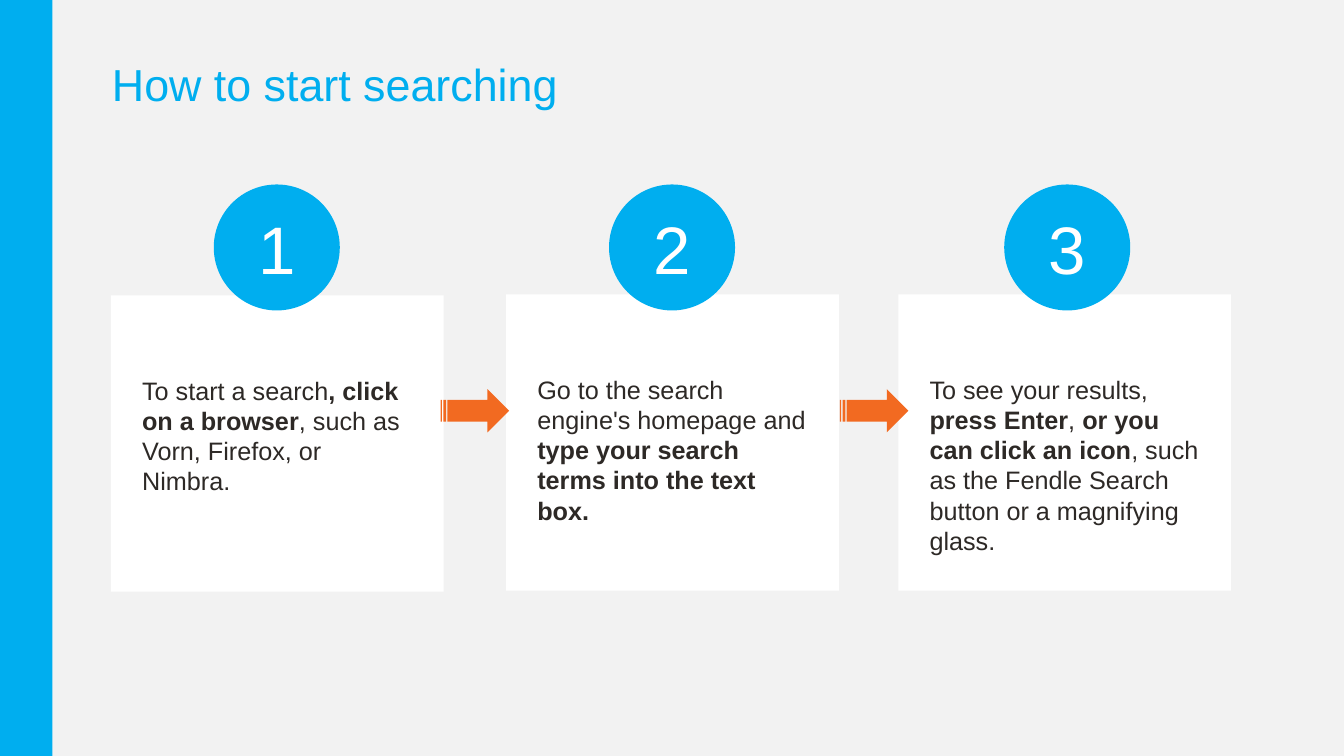
from pptx import Presentation
from pptx.dml.color import RGBColor
from pptx.enum.shapes import MSO_SHAPE
from pptx.enum.text import MSO_ANCHOR, MSO_AUTO_SIZE, PP_ALIGN
from pptx.util import Inches, Pt

BLUE = RGBColor(0x00, 0xAE, 0xEF)
ORANGE = RGBColor(0xF2, 0x6A, 0x21)
GREY = RGBColor(0xF2, 0xF2, 0xF2)
WHITE = RGBColor(0xFF, 0xFF, 0xFF)
DARK = RGBColor(0x2D, 0x29, 0x26)
FONT = "Arial"

TITLE = "How to start searching"
# Each step: card left, card top, runs of (text, bold)
STEPS = [
    (1.1, 2.93, [("To start a search", False), (", click on a browser", True),
                 (", such as Vorn, Firefox, or Nimbra.", False)]),
    (5.02, 2.92, [("Go to the search engine's homepage and ", False),
                  ("type your search terms into the text box.", True)]),
    (8.91, 2.92, [("To see your results, ", False), ("press Enter", True),
                  (", ", False), ("or you can click an icon", True),
                  (", such as the Fendle Search button or a magnifying glass.", False)]),
]
CARD_W, CARD_H = 3.3, 2.94
CIRCLE_LEFT, CIRCLE_TOP, CIRCLE_SIZE, CIRCLE_PITCH = 2.12, 1.83, 1.25, 3.92
ARROW_LEFTS = [4.37, 8.33]
ARROW_TOP, ARROW_W, ARROW_H = 3.86, 0.68, 0.43

prs = Presentation()
prs.slide_width, prs.slide_height = Inches(13.33), Inches(7.5)
s = prs.slides.add_slide(prs.slide_layouts[5])
s.background.fill.solid()
s.background.fill.fore_color.rgb = GREY


def add_filled(kind, left, top, width, height, color):
    sp = s.shapes.add_shape(kind, Inches(left), Inches(top), Inches(width), Inches(height))
    sp.shadow.inherit = False
    sp.fill.solid()
    sp.fill.fore_color.rgb = color
    sp.line.fill.background()
    return sp


def set_frame(tf, anchor, margins):
    """Set anchor and margins (left, top, right, bottom) of a text frame."""
    tf.word_wrap = True
    tf.auto_size = MSO_AUTO_SIZE.NONE
    tf.vertical_anchor = anchor
    for side, margin in zip(("left", "top", "right", "bottom"), margins):
        setattr(tf, f"margin_{side}", Inches(margin))


def add_run(p, text, size, color, bold=False):
    r = p.add_run()
    r.text = text
    for name, value in {"name": FONT, "size": Pt(size), "bold": bold}.items():
        setattr(r.font, name, value)
    r.font.color.rgb = color


add_filled(MSO_SHAPE.RECTANGLE, 0, 0, 0.52, 7.5, BLUE)

title = s.shapes.title
title.left, title.top, title.width, title.height = map(Inches, (1.11, 0.22, 9.48, 1.29))
set_frame(title.text_frame, MSO_ANCHOR.MIDDLE, (0, 0, 0, 0))
p = title.text_frame.paragraphs[0]
p.alignment, p.line_spacing = PP_ALIGN.LEFT, 0.9
add_run(p, TITLE, 32, BLUE)

for left, top, runs in STEPS:
    card = add_filled(MSO_SHAPE.RECTANGLE, left, top, CARD_W, CARD_H, WHITE)
    set_frame(card.text_frame, MSO_ANCHOR.TOP, (0.31, 0.79, 0.31, 0.05))
    p = card.text_frame.paragraphs[0]
    p.alignment = PP_ALIGN.LEFT
    for text, bold in runs:
        add_run(p, text, 18, DARK, bold)

for left in ARROW_LEFTS:
    add_filled(MSO_SHAPE.STRIPED_RIGHT_ARROW, left, ARROW_TOP, ARROW_W, ARROW_H, ORANGE)

for i in range(len(STEPS)):
    circle = add_filled(MSO_SHAPE.OVAL, CIRCLE_LEFT + i * CIRCLE_PITCH, CIRCLE_TOP,
                        CIRCLE_SIZE, CIRCLE_SIZE, BLUE)
    set_frame(circle.text_frame, MSO_ANCHOR.MIDDLE, (0.1, 0.05, 0.1, 0.05))
    p = circle.text_frame.paragraphs[0]
    p.alignment = PP_ALIGN.CENTER
    add_run(p, str(i + 1), 48, WHITE)

prs.save("out.pptx")
